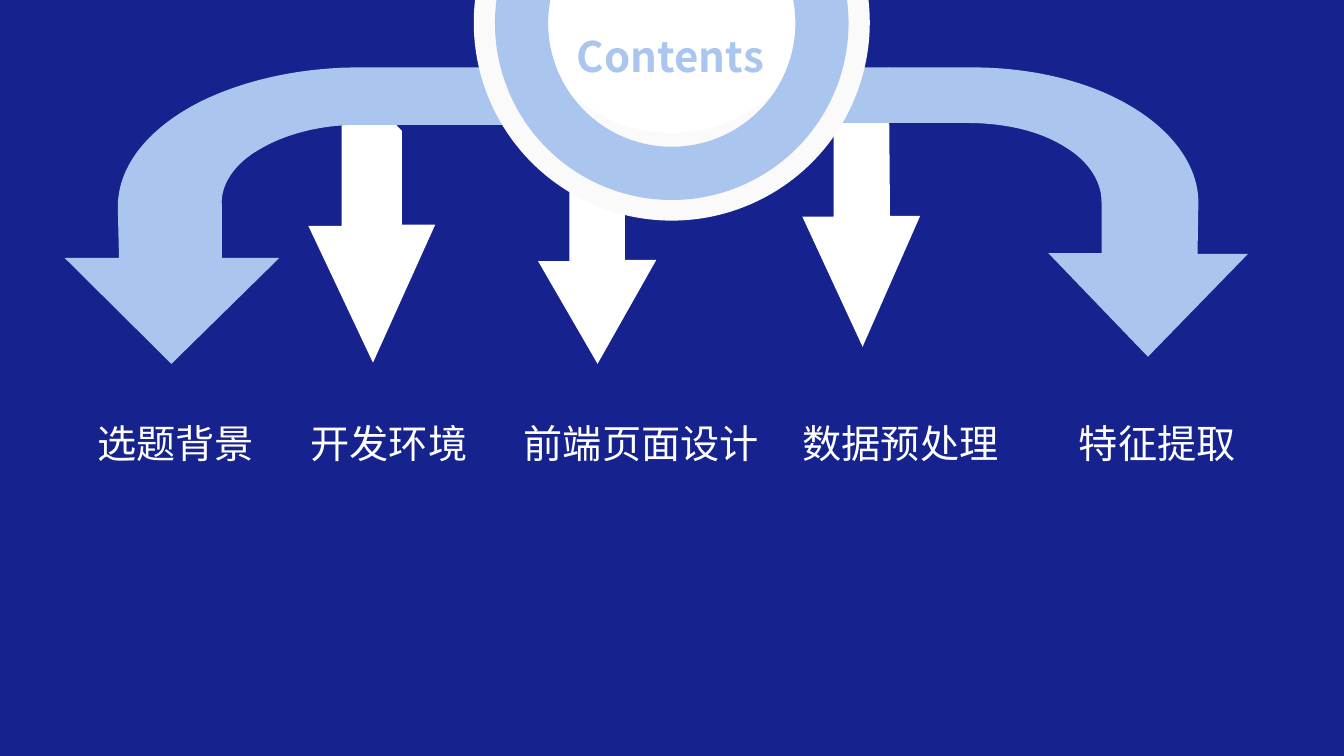
from lxml import etree
from pptx import Presentation
from pptx.dml.color import RGBColor
from pptx.enum.shapes import MSO_SHAPE
from pptx.enum.text import MSO_ANCHOR, MSO_AUTO_SIZE, PP_ALIGN
from pptx.oxml.ns import qn
from pptx.util import Cm, Pt

NAVY = RGBColor(0x16, 0x22, 0x8D)
SKY = RGBColor(0xAA, 0xC6, 0xEF)
WHITE = RGBColor(0xFF, 0xFF, 0xFF)
OFF_WHITE = RGBColor(0xFA, 0xFA, 0xFA)
FONT = "Noto Sans CJK SC"
OVAL = MSO_SHAPE.OVAL
MIDDLE = MSO_ANCHOR.MIDDLE
LEFT = PP_ALIGN.LEFT
FIT_SHAPE = MSO_AUTO_SIZE.SHAPE_TO_FIT_TEXT


def bend_segments(shape, steps):
    """Replace the straight segment of each six-number step by a cubic curve."""
    segments = list(shape._element.iter(qn("a:lnTo")))
    for segment, step in zip(segments, steps):
        if len(step) == 6:
            curve = etree.Element(qn("a:cubicBezTo"))
            for x, y in zip(step[::2], step[1::2]):
                etree.SubElement(curve, qn("a:pt"), x=str(Cm(x) - shape.left),
                                 y=str(Cm(y) - shape.top))
            segment.getparent().replace(segment, curve)


def format_run(r, size, color, bold=False):
    r.font.size = Pt(size)
    r.font.bold = bold
    r.font.color.rgb = color
    r.font.name = FONT
    ea = etree.Element(qn("a:ea"), typeface=FONT)
    r.font._element.find(qn("a:latin")).addnext(ea)


prs = Presentation()
prs.slide_width, prs.slide_height = Cm(33.87), Cm(19.05)
s = prs.slides.add_slide(prs.slide_layouts[5])
s.background.fill.solid()
s.background.fill.fore_color.rgb = NAVY

# Arrows, from back to front, in cm: points (x, y) and curves (x1, y1, x2, y2, x, y)
arrows = [
    (WHITE, [(8.61, 1.7), (8.61, 5.69), (7.77, 5.69), (9.4, 9.14),
             (10.97, 5.66), (10.13, 5.66), (10.13, 3.3)]),
    (SKY, [(12.14, 1.7), (9.19, 1.7),
           (7.59, 1.68, 6.05, 2.03, 4.9, 2.64),
           (3.63, 3.33, 2.95, 4.27, 2.97, 5.26),
           (3, 6.5), (1.63, 6.5), (4.32, 9.17), (7.04, 6.5), (5.59, 6.5), (5.59, 5.16),
           (5.56, 4.65, 5.92, 4.11, 6.55, 3.76),
           (7.24, 3.35, 8.2, 3.12, 9.19, 3.15),
           (13.36, 3.15)]),
    (WHITE, [(14.35, 3.58), (14.35, 6.58), (13.56, 6.58), (15.06, 9.17),
             (16.54, 6.55), (15.75, 6.55), (15.75, 4.78)]),
    (WHITE, [(21.01, 3.12), (21.01, 5.46), (20.22, 5.46), (21.74, 8.74),
             (23.19, 5.44), (22.43, 5.44), (22.4, 1.7)]),
    (SKY, [(21.64, 1.7), (24.38, 1.7),
           (25.88, 1.68, 27.33, 2.01, 28.4, 2.62),
           (29.57, 3.28, 30.23, 4.22, 30.2, 5.16),
           (30.18, 6.4), (31.45, 6.4), (28.93, 8.99), (26.42, 6.38), (27.76, 6.38),
           (27.76, 5.08),
           (27.76, 4.57, 27.43, 4.06, 26.85, 3.71),
           (26.21, 3.3, 25.32, 3.1, 24.38, 3.1),
           (20.52, 3.1)]),
]
for color, outline in arrows:
    corners = [(Cm(step[-2]), Cm(step[-1])) for step in outline]
    builder = s.shapes.build_freeform(*corners[0])
    builder.add_line_segments(corners[1:], close=True)
    arrow = builder.convert_to_shape()
    bend_segments(arrow, outline[1:])
    arrow.shadow.inherit = False
    arrow.fill.solid()
    arrow.fill.fore_color.rgb = color
    arrow.line.fill.background()

# Round badge: backing, disc and ring share one vertical axis
for top, size, color in [(-4.42, 9.98, OFF_WHITE), (-4.22, 7.57, WHITE), (-3.2, 7.57, None)]:
    circle = s.shapes.add_shape(OVAL, Cm(16.93 - size / 2), Cm(top), Cm(size), Cm(size))
    circle.shadow.inherit = False
    if color is None:
        circle.fill.background()
        circle.line.color.rgb = SKY
        circle.line.width = Pt(38)
    else:
        circle.fill.solid()
        circle.fill.fore_color.rgb = color
        circle.line.fill.background()

# Title, raised above the badge
title = s.shapes.title
title.left, title.top, title.width, title.height = Cm(14.46), Cm(0.69), Cm(4.93), Cm(1.42)
s.shapes._spTree.append(title._element)
tf = title.text_frame
tf.text = "Contents"
tf.margin_left = tf.margin_right = tf.margin_top = tf.margin_bottom = Cm(0.08)
tf.vertical_anchor = MIDDLE
tf.auto_size = FIT_SHAPE
tf.paragraphs[0].alignment = LEFT
format_run(tf.paragraphs[0].runs[0], 30, SKY, bold=True)

# Chapter labels
for text, left, width in [("选题背景", 2.21, 6.55), ("开发环境", 7.58, 5.13),
                          ("前端页面设计", 12.95, 7.57), ("数据预处理", 19.98, 6.55),
                          ("特征提取", 26.94, 6.55)]:
    label = s.shapes.add_textbox(Cm(left), Cm(10.59), Cm(width), Cm(0.97))
    tf = label.text_frame
    tf.text = text
    tf.word_wrap = True
    tf.margin_top, tf.margin_bottom = Cm(0.3), 0
    tf.vertical_anchor = MIDDLE
    p = tf.paragraphs[0]
    p.line_spacing = 0.9
    format_run(p.runs[0], 28, WHITE)

prs.save("out.pptx")
